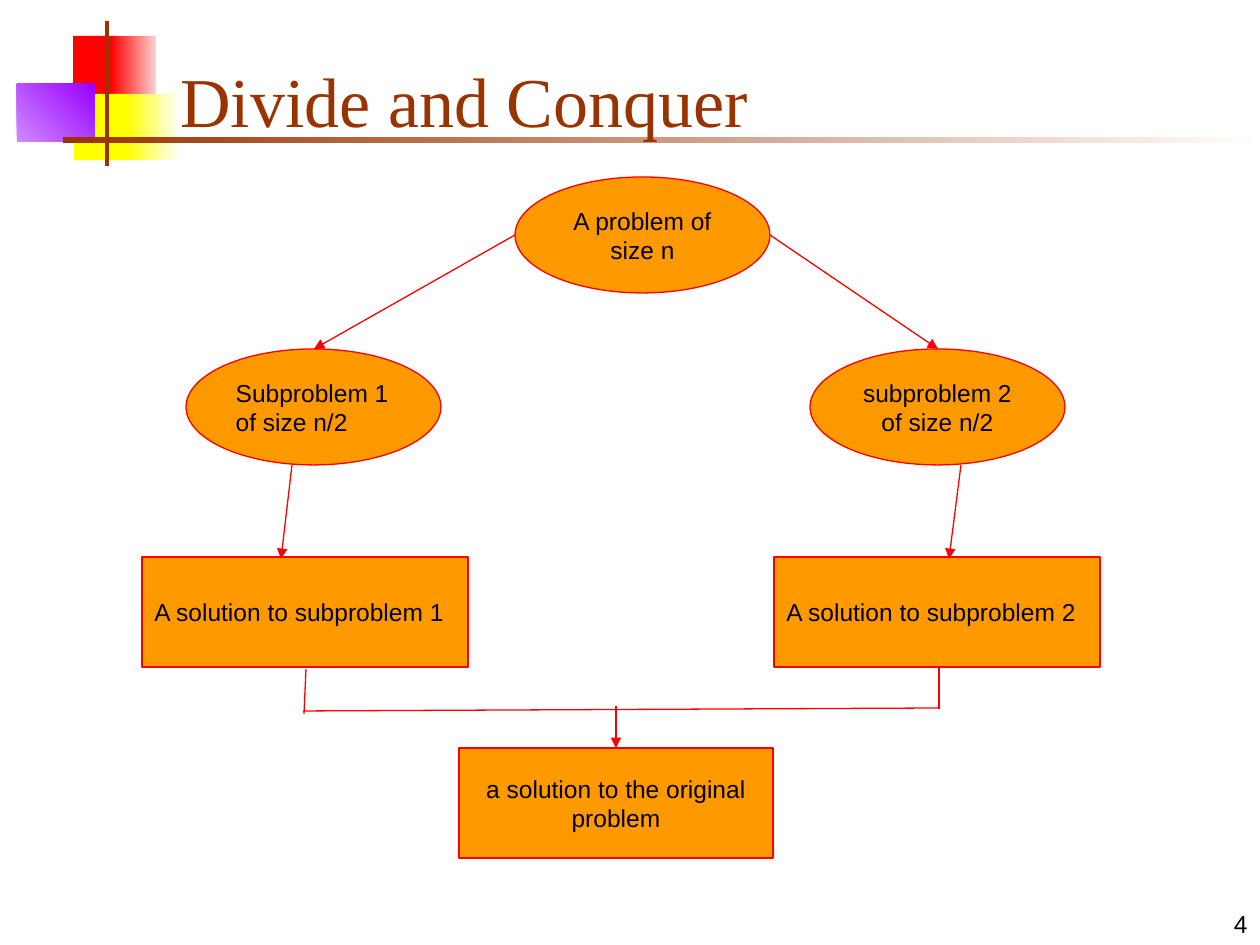
from dataclasses import dataclass

import pptx
import pptx.dml.color
import pptx.enum.dml
import pptx.enum.shapes
import pptx.enum.text
import pptx.oxml
import pptx.oxml.ns
import pptx.util

EMU_PER_PX = 914400 / 126
COLORS = {
    "red": "FF0000", "pink": "FFD1D1", "yellow": "FFFF00", "cream": "FFFFF0",
    "lilac": "D18BFF", "purple": "9900FF", "brown": "993300",
    "white": "FFFFFF", "orange": "FF9900", "black": "000000",
}
SHAPE = pptx.enum.shapes.MSO_SHAPE
ALIGN = pptx.enum.text.PP_ALIGN
ANCHOR = pptx.enum.text.MSO_ANCHOR
OVAL_SIZE = (255, 116)
SOLUTION_SIZE = (326, 110)
RESULT_SIZE = (314, 110)


@dataclass
class Ornament:
    left: int
    top: int
    width: int
    height: int
    colors: tuple[str, ...]
    angle: int = 0


@dataclass
class Node:
    text: str
    left: int
    top: int
    size: tuple[int, int]
    kind: SHAPE
    align: ALIGN = ALIGN.CENTER


@dataclass
class Link:
    start: tuple[int, int]
    end: tuple[int, int]
    arrow: bool = True


ORNAMENTS = [
    Ornament(73, 36, 44, 65, ("red",)),
    Ornament(111, 36, 45, 65, ("red", "pink")),
    Ornament(74, 94, 58, 66, ("yellow",)),
    Ornament(126, 94, 51, 66, ("yellow", "cream")),
    Ornament(17, 84, 78, 58, ("lilac", "purple"), 45),
    Ornament(105, 21, 4, 145, ("brown",)),
    Ornament(63, 137, 1197, 6, ("brown", "white")),
]
NODES = [
    Node("A solution to subproblem 1", 142, 557, SOLUTION_SIZE, SHAPE.RECTANGLE, ALIGN.LEFT),
    Node("A solution to subproblem 2", 774, 557, SOLUTION_SIZE, SHAPE.RECTANGLE, ALIGN.LEFT),
    Node("A problem of size n", 515, 177, OVAL_SIZE, SHAPE.FLOWCHART_CONNECTOR),
    Node("Subproblem 1 of size n/2", 186, 349, OVAL_SIZE, SHAPE.FLOWCHART_CONNECTOR, ALIGN.LEFT),
    Node("subproblem 2 of size n/2", 810, 349, OVAL_SIZE, SHAPE.FLOWCHART_CONNECTOR),
]
RESULT = Node("a solution to the original problem", 459, 748, RESULT_SIZE, SHAPE.RECTANGLE)
LINKS = [
    Link((515, 235), (314, 349)),
    Link((770, 235), (938, 349)),
    Link((292, 465), (281, 559)),
    Link((961, 465), (949, 559)),
    Link((306, 669), (304, 714), arrow=False),
    Link((939, 668), (939, 709), arrow=False),
    Link((303, 711), (940, 708), arrow=False),
]
RESULT_LINK = Link((616, 706), (616, 748))


def px(*lengths: int) -> list[pptx.util.Emu]:
    return [pptx.util.Emu(round(length * EMU_PER_PX)) for length in lengths]


def rgb(name: str) -> pptx.dml.color.RGBColor:
    return pptx.dml.color.RGBColor.from_string(COLORS[name])


def write_text(box, text: str, *, size: int = 14, font: str = "Arial",
               color: str = "black", align: ALIGN = ALIGN.LEFT,
               anchor: ANCHOR = ANCHOR.MIDDLE, inset: float = 0.1) -> None:
    """Fill a box with one paragraph; inset is the top and bottom margin in inches."""
    frame = box.text_frame
    frame.word_wrap = True
    frame.vertical_anchor = anchor
    frame.margin_left = frame.margin_right = pptx.util.Inches(0.1)
    frame.margin_top = frame.margin_bottom = pptx.util.Inches(inset)
    para = frame.paragraphs[0]
    para.alignment = align
    span = para.add_run()
    span.text = text
    span.font.size = pptx.util.Pt(size)
    span.font.name = font
    span.font.color.rgb = rgb(color)


def draw_ornament(page, ornament: Ornament) -> None:
    shape = page.shapes.add_shape(
        SHAPE.RECTANGLE,
        *px(ornament.left, ornament.top, ornament.width, ornament.height))
    shape.shadow.inherit = False
    shape.line.fill.background()
    if len(ornament.colors) == 1:
        shape.fill.solid()
        shape.fill.fore_color.rgb = rgb(ornament.colors[0])
        return
    shape.fill.gradient()
    shape.fill.gradient_angle = ornament.angle
    for stop, color in zip(shape.fill.gradient_stops, ornament.colors):
        stop.color.rgb = rgb(color)


def draw_node(page, node: Node):
    shape = page.shapes.add_shape(node.kind, *px(node.left, node.top, *node.size))
    shape.shadow.inherit = False
    shape.fill.solid()
    shape.fill.fore_color.rgb = rgb("orange")
    shape.line.color.rgb = rgb("red")
    shape.line.width = pptx.util.Pt(0.75)
    write_text(shape, node.text, align=node.align)
    return shape


def draw_link(page, link: Link):
    line = page.shapes.add_connector(
        pptx.enum.shapes.MSO_CONNECTOR.STRAIGHT, *px(*link.start, *link.end))
    line.line.color.rgb = rgb("red")
    line.line.width = pptx.util.Pt(0.75)
    properties = line._element.spPr
    if link.arrow:
        head = pptx.oxml.parse_xml(
            f'<a:tailEnd {pptx.oxml.ns.nsdecls("a")} type="triangle"/>')
        line.line._get_or_add_ln().append(head)
    properties.append(pptx.oxml.parse_xml(
        f'<a:effectLst {pptx.oxml.ns.nsdecls("a")}/>'))
    return line


def main() -> None:
    deck = pptx.Presentation()
    deck.slide_width, deck.slide_height = px(1260, 945)
    page = deck.slides.add_slide(deck.slide_layouts[6])

    for ornament in ORNAMENTS:
        draw_ornament(page, ornament)

    title = page.shapes.add_textbox(*px(168, 32, 1074, 116))
    write_text(title, "Divide and Conquer", size=40, font="Times New Roman",
               color="brown", anchor=ANCHOR.BOTTOM, inset=0.05)
    number = page.shapes.add_textbox(*px(998, 882, 262, 63))
    write_text(number, "4", align=ALIGN.RIGHT, anchor=ANCHOR.BOTTOM, inset=0.05)

    for node in NODES:
        draw_node(page, node)
    result = draw_node(page, RESULT)
    for link in LINKS:
        draw_link(page, link)
    draw_link(page, RESULT_LINK).end_connect(result, 0)

    deck.save("out.pptx")


if __name__ == "__main__":
    main()
